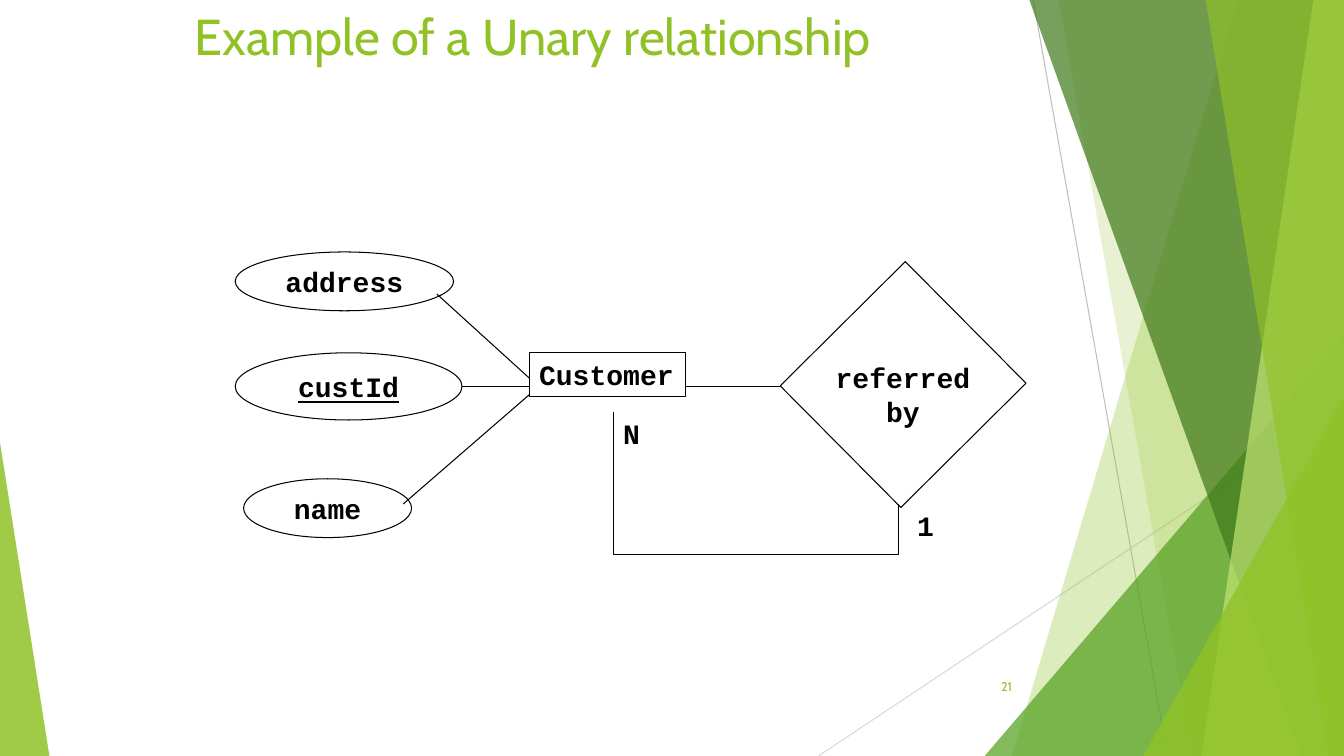
import pptx
import pptx.dml.color
import pptx.enum.shapes
import pptx.enum.text
import pptx.oxml.ns
import pptx.util
from lxml import etree

Pt = pptx.util.Pt
RGBColor = pptx.dml.color.RGBColor
SHAPE = pptx.enum.shapes.MSO_SHAPE
ALIGN = pptx.enum.text.PP_ALIGN
ANCHOR = pptx.enum.text.MSO_ANCHOR
WIDTH, HEIGHT = 960, 540

BLACK = RGBColor(0x00, 0x00, 0x00)
LIME = RGBColor(0x90, 0xC2, 0x26)
PALE_LIME = RGBColor(0xC0, 0xE4, 0x74)
GREEN = RGBColor(0x54, 0xA0, 0x21)
DARK_GREEN = RGBColor(0x3F, 0x78, 0x19)
GRAY = RGBColor(0xBF, 0xBF, 0xBF)
LIGHT_GRAY = RGBColor(0xD9, 0xD9, 0xD9)

# Backdrop: lines (from, to), facets (top left x, bottom left x), triangles (frame, apex)
BACKDROP_LINES = [
    ((738, 0, 834, 540), GRAY),
    ((960, 290.2, 584.6, 540), LIGHT_GRAY),
]
BACKDROP = [
    ("facet", (884.2, 722.9), LIME, 30),
    ("facet", (756, 851.8), LIME, 20),
    ("triangle", (703.4, 239.8, 256.6, 300.2, 1), GREEN, 72),
    ("facet", (735.1, 929.5), DARK_GREEN, 70),
    ("facet", (938.2, 858.2), PALE_LIME, 70),
    ("facet", (861.1, 949), LIME, 65),
    ("triangle", (816.5, 283, 143.5, 257, 1), LIME, 80),
    ("triangle", (0, 316.1, 35.3, 223.9, 0), LIME, 85),
]

# Text formats
TITLE = {"name": "Cabin", "size": Pt(36), "color": LIME}
PAGE = {"name": "Cabin", "size": Pt(9), "color": LIME}
LABEL = {"name": "Courier New", "size": Pt(20), "bold": True, "color": BLACK}
KEY = {**LABEL, "underline": True}

# Diagram: text, preset (None for a text box), frame, format, align, anchor, wrap
ITEMS = [
    ("Example of a Unary relationship", None, (132, 0, 690, 78), TITLE, ALIGN.LEFT, ANCHOR.TOP, True),
    ("21", None, (676, 476, 54, 28.8), PAGE, ALIGN.RIGHT, ANCHOR.MIDDLE, True),
    ("Customer", SHAPE.RECTANGLE, (378, 252, 111.6, 31.5), LABEL, ALIGN.LEFT, ANCHOR.TOP, False),
    ("custId", SHAPE.OVAL, (168, 252, 162, 48), KEY, ALIGN.CENTER, ANCHOR.MIDDLE, False),
    ("name", SHAPE.OVAL, (174, 342, 120, 42), LABEL, ALIGN.CENTER, ANCHOR.MIDDLE, False),
    ("address", SHAPE.OVAL, (168, 180, 156, 42), LABEL, ALIGN.CENTER, ANCHOR.MIDDLE, False),
    ("referred by", None, (576, 254.2, 138, 55.4), LABEL, ALIGN.CENTER, ANCHOR.TOP, True),
    ("N", None, (438, 294, 26.4, 31.5), LABEL, ALIGN.LEFT, ANCHOR.TOP, False),
    ("1", None, (648, 360, 26.4, 31.5), LABEL, ALIGN.LEFT, ANCHOR.TOP, False),
]
DIAMOND_FRAME, DIAMOND_TURN = (583.9, 211.7, 122.4, 126), 45.2
LINKS = [
    (378, 270, 312, 210),
    (330, 276, 378, 276),
    (378, 282, 288, 360),
    (489.6, 276, 558, 276),
    (642, 360, 642, 396),
    (438, 396, 642, 396),
    (438, 396, 438, 294),
]


def points(values):
    return [Pt(value) for value in values]


def outline(shape):
    shape.line.color.rgb = BLACK
    shape.line.width = Pt(0.75)
    shape.fill.background()
    shape.shadow.inherit = False


def add_line(slide, ends, color):
    line = slide.shapes.add_connector(pptx.enum.shapes.MSO_CONNECTOR.STRAIGHT, *points(ends))
    line.line.color.rgb = color
    line.line.width = Pt(0.75)
    etree.SubElement(line._element.spPr, pptx.oxml.ns.qn("a:effectLst"))


def add_backdrop(slide, kind, geometry, color, opacity):
    if kind == "facet":
        top, bottom = geometry
        builder = slide.shapes.build_freeform(Pt(top), Pt(-0.5), scale=1.0)
        corners = [(WIDTH, -0.5), (WIDTH, HEIGHT), (bottom, HEIGHT)]
        builder.add_line_segments([points(corner) for corner in corners], close=True)
        shape = builder.convert_to_shape()
    else:
        shape = slide.shapes.add_shape(SHAPE.ISOSCELES_TRIANGLE, *points(geometry[:4]))
        shape.adjustments[0] = geometry[4]
    shape.fill.solid()
    shape.fill.fore_color.rgb = color
    color_element = shape._element.spPr.find(".//" + pptx.oxml.ns.qn("a:srgbClr"))
    etree.SubElement(color_element, pptx.oxml.ns.qn("a:alpha"), val=str(opacity * 1000))
    shape.line.fill.background()
    shape.shadow.inherit = False


def add_item(slide, text, preset, frame, format_values, align, anchor, wrap):
    if preset is None:
        shape = slide.shapes.add_textbox(*points(frame))
    else:
        shape = slide.shapes.add_shape(preset, *points(frame))
        outline(shape)
    shape.text_frame.word_wrap = wrap
    shape.text_frame.vertical_anchor = anchor
    paragraph = shape.text_frame.paragraphs[0]
    paragraph.alignment = align
    run = paragraph.add_run()
    run.text = text
    for name, value in format_values.items():
        if name == "color":
            run.font.color.rgb = value
        else:
            setattr(run.font, name, value)


def main():
    presentation = pptx.Presentation()
    presentation.slide_width, presentation.slide_height = Pt(WIDTH), Pt(HEIGHT)
    slide = presentation.slides.add_slide(presentation.slide_layouts[6])

    # Backdrop
    for ends, color in BACKDROP_LINES:
        add_line(slide, ends, color)
    for part in BACKDROP:
        add_backdrop(slide, *part)

    # Relationship diamond, below its label
    diamond = slide.shapes.add_shape(SHAPE.RECTANGLE, *points(DIAMOND_FRAME))
    diamond.rotation = DIAMOND_TURN
    outline(diamond)

    # Title, entity, attributes and labels
    for item in ITEMS:
        add_item(slide, *item)

    # Links
    for ends in LINKS:
        add_line(slide, ends, BLACK)

    presentation.save("out.pptx")


if __name__ == "__main__":
    main()
